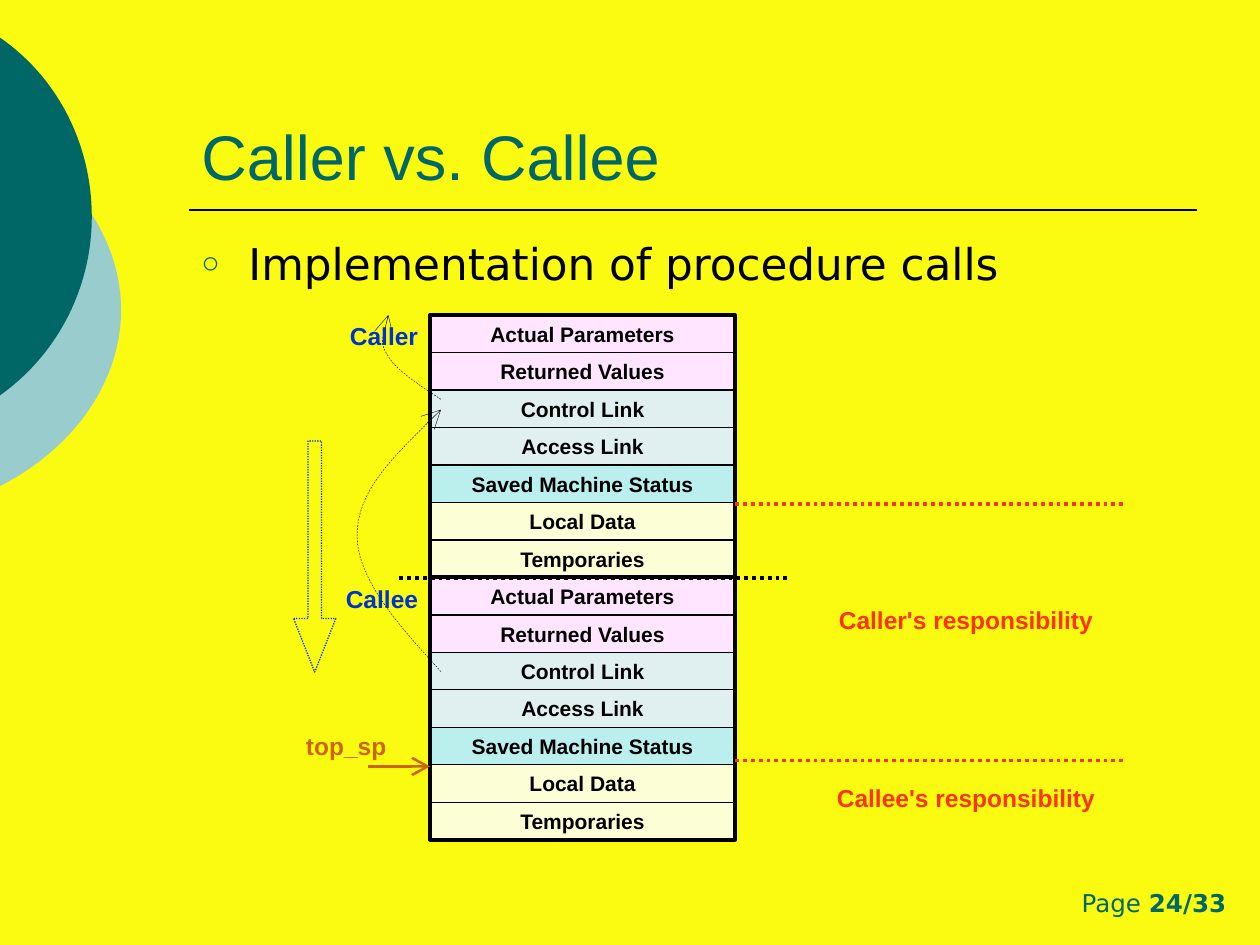
from dataclasses import dataclass

from lxml.etree import SubElement
from pptx import Presentation
from pptx.dml.color import RGBColor
from pptx.enum.dml import MSO_LINE_DASH_STYLE as Dash
from pptx.enum.shapes import MSO_CONNECTOR as Connector, MSO_SHAPE as Preset
from pptx.enum.text import MSO_ANCHOR as Anchor, PP_ALIGN as Align
from pptx.oxml.ns import qn
from pptx.util import Cm, Pt

COLORS = {
    "background": "FBFB11", "teal": "006666", "mist": "99CCCC", "black": "000000",
    "blue": "0033CC", "orange": "CC6600", "red": "FF3300",
    "pink": "FFE5FF", "gray": "E0F0F0", "aqua": "BBEFEE", "cream": "FCFFD5",
}
STACK_LEFT, STACK_TOP, STACK_WIDTH, RECORD_HEIGHT = 8.67, 6.35, 6.15, 5.29


@dataclass
class Field:
    text: str
    color: str


@dataclass
class Label:
    text: str
    left: float
    top: float
    width: float
    color: str
    align: Align = Align.RIGHT
    height: float = 0.85
    size: float = 14
    font: str = "Arial"
    bold: bool = True
    anchor: Anchor = Anchor.TOP


@dataclass
class Line:
    start: tuple[float, float]
    end: tuple[float, float]
    color: str
    width: float
    dash: Dash | None = None
    arrow: bool = False


@dataclass
class Curve:
    frame: tuple[float, float, float, float]
    points: list[tuple[float, float]]
    fill: str | None = None


FIELDS = [
    Field("Actual Parameters", "pink"),
    Field("Returned Values", "pink"),
    Field("Control Link", "gray"),
    Field("Access Link", "gray"),
    Field("Saved Machine Status", "aqua"),
    Field("Local Data", "cream"),
    Field("Temporaries", "cream"),
]
DISCS = [
    Curve((-8.99, 1.91, 11.43, 8.69),
          [(0, 2.69), (1.52, 3.48), (2.44, 4.83), (2.44, 6.25),
           (2.44, 7.67), (1.52, 9.02), (0, 9.8)], "mist"),
    Curve((-6.73, 0, 8.59, 8.76),
          [(0, 0.76), (1.17, 1.57), (1.85, 2.92), (1.85, 4.37),
           (1.85, 5.79), (1.17, 7.14), (0, 7.97)], "teal"),
]
CONTROL_LINKS = [
    Curve((7.2, 8.26, 1.69, 5.28),
          [(8.89, 13.54), (8.05, 12.62), (7.2, 11.68), (7.2, 10.8),
           (7.2, 9.91), (8.05, 9.09), (8.89, 8.26)]),
    Curve((7.65, 6.35, 1.24, 1.7),
          [(8.89, 8.05), (8.46, 7.77), (8, 7.47), (7.83, 7.19),
           (7.65, 6.91), (7.75, 6.63), (7.83, 6.35)]),
]
TITLE_RULE = Line((3.81, 4.24), (24.13, 4.24), "black", 1)
STACK_LINES = [
    Line((8.05, 11.65), (15.88, 11.65), "black", 2.25, Dash.ROUND_DOT),
    Line((7.41, 15.45), (8.67, 15.45), "orange", 1.5, arrow=True),
    Line((14.82, 15.33), (22.65, 15.33), "red", 2.25, Dash.ROUND_DOT),
    Line((14.82, 10.16), (22.65, 10.16), "red", 2.25, Dash.ROUND_DOT),
]
TITLE = Label("Caller vs. Callee", 3.81, 0.84, 20.32, "teal", Align.LEFT,
              3.18, 36, bold=False, anchor=Anchor.BOTTOM)
BODY = Label("Implementation of procedure calls", 3.81, 4.65, 20.32, "black", Align.LEFT,
             11.84, 25, "DejaVu Sans", False)
PAGE = Label("Page ", 19.25, 17.78, 5.72, "teal", font="DejaVu Sans", bold=False)
STACK_LABELS = [
    Label("Caller", 5.08, 6.35, 3.6, "blue"),
    Label("Callee", 5.08, 11.64, 3.6, "blue"),
    Label("top_sp", 4.44, 14.61, 3.6, "orange"),
    Label("Caller's responsibility", 16.09, 12.07, 6.77, "red", Align.CENTER),
    Label("Callee's responsibility", 16.09, 15.66, 6.77, "red", Align.CENTER),
]


def rgb(name: str) -> RGBColor:
    return RGBColor.from_string(COLORS[name])


def set_font(paragraph, name: str, size: float, color: str, bold: bool) -> None:
    font = paragraph.font
    font.name, font.size, font.bold = name, Pt(size), bold
    font.color.rgb = rgb(color)


def style_line(shape, color: str, width: float, dash: Dash | None = None,
               arrow: bool = False) -> None:
    shape.line.color.rgb = rgb(color)
    shape.line.width = Pt(width)
    if dash is not None:
        shape.line.dash_style = dash
    if arrow:
        SubElement(shape.line._get_or_add_ln(), qn("a:tailEnd"),
                   type="arrow", w="lg", len="lg")


def style_fill(shape, fill: str | None) -> None:
    shape.shadow.inherit = False
    if fill:
        shape.fill.solid()
        shape.fill.fore_color.rgb = rgb(fill)
    else:
        shape.fill.background()


def add_bullet(paragraph) -> None:
    properties = paragraph._p.get_or_add_pPr()
    indent = Cm(0.95)
    properties.set("marL", str(indent))
    properties.set("indent", str(-indent))
    color = SubElement(properties, qn("a:buClr"))
    SubElement(color, qn("a:srgbClr"), val=COLORS["teal"])
    SubElement(properties, qn("a:buSzPct"), val="70000")
    SubElement(properties, qn("a:buFont"), typeface="Arial")
    SubElement(properties, qn("a:buChar"), char="○")


def add_label(slide, label: Label, bullet: bool = False):
    shape = slide.shapes.add_textbox(
        Cm(label.left), Cm(label.top), Cm(label.width), Cm(label.height))
    frame = shape.text_frame
    frame.word_wrap = True
    frame.vertical_anchor = label.anchor
    paragraph = frame.paragraphs[0]
    paragraph.add_run().text = label.text
    paragraph.alignment = label.align
    if bullet:
        add_bullet(paragraph)
    set_font(paragraph, label.font, label.size, label.color, label.bold)
    return paragraph


def add_line(slide, line: Line) -> None:
    connector = slide.shapes.add_connector(
        Connector.STRAIGHT, *map(Cm, line.start), *map(Cm, line.end))
    style_line(connector, line.color, line.width, line.dash, line.arrow)
    SubElement(connector._element.spPr, qn("a:effectLst"))


def add_curve(slide, curve: Curve) -> None:
    left, top, width, height = map(Cm, curve.frame)
    points = [(Cm(x), Cm(y)) for x, y in curve.points]
    builder = slide.shapes.build_freeform(*points[0])
    builder.add_line_segments(points[1:], close=False)
    shape = builder.convert_to_shape()
    shape.left, shape.top, shape.width, shape.height = left, top, width, height
    outline = next(shape._element.iter(qn("a:path")))
    outline.set("w", str(width))
    outline.set("h", str(height))
    for segment in list(outline)[1:]:
        outline.remove(segment)
    for index, (x, y) in enumerate(points):
        if index % 3 == 1:
            segment = SubElement(outline, qn("a:cubicBezTo"))
        if index:
            point = SubElement(segment, qn("a:pt"))
        else:
            point = outline[0][0]
        point.set("x", str(x - left))
        point.set("y", str(y - top))
    style_fill(shape, curve.fill)
    if curve.fill:
        SubElement(outline, qn("a:close"))
        shape.line.fill.background()
    else:
        style_line(shape, "black", 0.25, Dash.DASH, arrow=True)


def add_preset(slide, preset: Preset, left: float, top: float, width: float,
               height: float, fill: str | None = None):
    shape = slide.shapes.add_shape(preset, Cm(left), Cm(top), Cm(width), Cm(height))
    style_fill(shape, fill)
    return shape


def add_record(slide, top: float) -> None:
    row_height = RECORD_HEIGHT / len(FIELDS)
    for index, field in enumerate(FIELDS):
        row = add_preset(slide, Preset.RECTANGLE, STACK_LEFT, top + index * row_height,
                         STACK_WIDTH, row_height, field.color)
        style_line(row, "black", 0.75)
        frame = row.text_frame
        frame.word_wrap = False
        frame.vertical_anchor = Anchor.MIDDLE
        paragraph = frame.paragraphs[0]
        paragraph.add_run().text = field.text
        paragraph.alignment = Align.CENTER
        set_font(paragraph, "Arial", 12, "black", True)
    border = add_preset(slide, Preset.RECTANGLE, STACK_LEFT, top, STACK_WIDTH, RECORD_HEIGHT)
    style_line(border, "black", 2.25)


def main() -> None:
    presentation = Presentation()
    presentation.slide_width, presentation.slide_height = Cm(25.4), Cm(19.05)
    slide = presentation.slides.add_slide(presentation.slide_layouts[6])
    slide.background.fill.solid()
    slide.background.fill.fore_color.rgb = rgb("background")
    for disc in DISCS:
        add_curve(slide, disc)
    add_line(slide, TITLE_RULE)
    page_number = add_label(slide, PAGE).add_run()
    page_number.text = "24/33"
    page_number.font.bold = True
    add_label(slide, TITLE)
    add_label(slide, BODY, bullet=True)
    for index in range(2):
        add_record(slide, STACK_TOP + index * RECORD_HEIGHT)
    for link in CONTROL_LINKS:
        add_curve(slide, link)
    for line in STACK_LINES:
        add_line(slide, line)
    for label in STACK_LABELS:
        add_label(slide, label)
    growth = add_preset(slide, Preset.DOWN_ARROW, 5.92, 8.89, 0.85, 4.66)
    growth.adjustments[0], growth.adjustments[1] = 0.32, 1.27
    style_line(growth, "blue", 0.75, Dash.ROUND_DOT)
    presentation.save("out.pptx")


if __name__ == "__main__":
    main()
